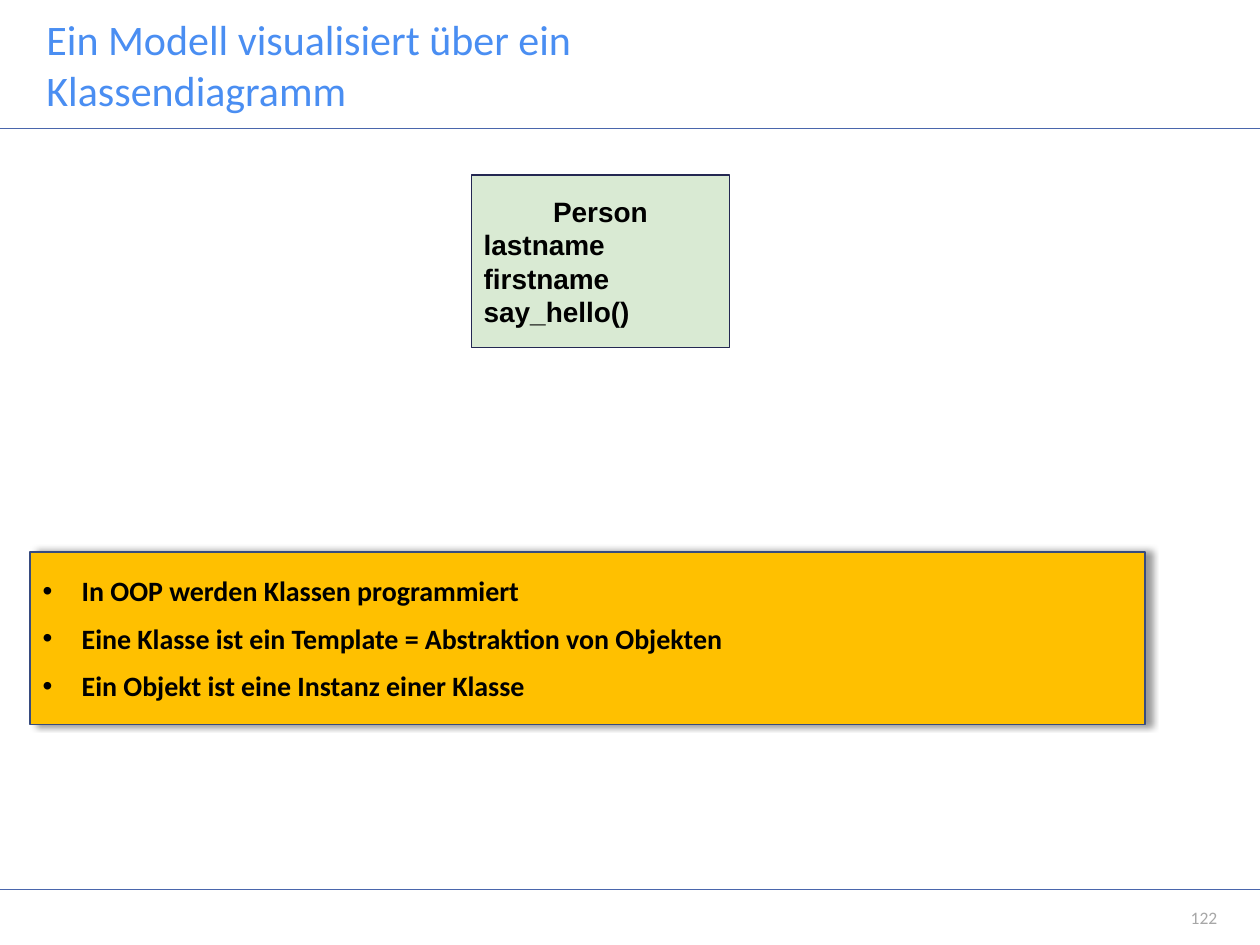
import pptx
import pptx.dml.color
import pptx.enum.shapes
import pptx.enum.text
import pptx.oxml
import pptx.oxml.ns
import pptx.util
from pptx.util import Inches

ALIGN = pptx.enum.text.PP_ALIGN
NS = pptx.oxml.ns.nsdecls("a")


def rgb(color):
    """Turn a hex string into a colour."""
    return pptx.dml.color.RGBColor.from_string(color)


def add_run(paragraph, text, size, font, color, bold=False):
    """Add one formatted run to a paragraph."""
    run = paragraph.add_run()
    run.text = text
    run.font.size = pptx.util.Pt(size)
    run.font.name = font
    run.font.bold = bold
    run.font.color.rgb = rgb(color)


def set_frame(frame, inset_x, inset_y):
    """Make a text frame wrap, centre vertically and use the given insets."""
    frame.word_wrap = True
    frame.vertical_anchor = pptx.enum.text.MSO_ANCHOR.MIDDLE
    frame.margin_left = frame.margin_right = Inches(inset_x)
    frame.margin_top = frame.margin_bottom = Inches(inset_y)


def add_label(slide, box, text, size, color, align, inset_x, inset_y):
    """Place a one-paragraph text box."""
    frame = slide.shapes.add_textbox(*map(Inches, box)).text_frame
    set_frame(frame, inset_x, inset_y)
    frame.paragraphs[0].alignment = align
    add_run(frame.paragraphs[0], text, size, "Calibri", color)


def add_rule(slide, left, top, width):
    """Draw a horizontal rule."""
    rule = slide.shapes.add_connector(
        pptx.enum.shapes.MSO_CONNECTOR.STRAIGHT,
        Inches(left), Inches(top), Inches(left + width), Inches(top))
    rule.line.color.rgb = rgb("4A66AC")
    rule.line.width = pptx.util.Pt(1)
    rule._element.spPr.append(pptx.oxml.parse_xml(f"<a:effectLst {NS}/>"))


def add_panel(slide, box, fill, line, line_width):
    """Draw a filled rectangle with an outline and no shadow."""
    panel = slide.shapes.add_shape(
        pptx.enum.shapes.MSO_SHAPE.RECTANGLE, *map(Inches, box))
    panel.fill.solid()
    panel.fill.fore_color.rgb = rgb(fill)
    panel.line.color.rgb = rgb(line)
    panel.line.width = pptx.util.Pt(line_width)
    panel.shadow.inherit = False
    return panel


def add_lines(frame, lines):
    """Yield a left-aligned paragraph with each line of text."""
    for index, text in enumerate(lines):
        paragraph = frame.add_paragraph() if index else frame.paragraphs[0]
        paragraph.alignment = ALIGN.LEFT
        yield index, paragraph, text


def add_class(slide, box, name, members):
    """Draw a class with a centred name above its members."""
    frame = add_panel(slide, box, "D9EAD3", "242852", 0.75).text_frame
    set_frame(frame, 0.1, 0.1)
    for index, paragraph, text in add_lines(frame, [name, *members]):
        if index == 0:
            paragraph.alignment = ALIGN.CENTER
        add_run(paragraph, text, 16, "Arial", "000000", True)


def add_summary(slide, box, points):
    """Draw a shadowed panel with bulleted points."""
    panel = add_panel(slide, box, "FFC000", "374B7F", 1)
    effects = panel._element.spPr.find(pptx.oxml.ns.qn("a:effectLst"))
    effects.append(pptx.oxml.parse_xml(
        f'<a:outerShdw {NS} blurRad="50800" dist="38100" dir="0" algn="l" rotWithShape="0">'
        '<a:srgbClr val="000000"><a:alpha val="40000"/></a:srgbClr></a:outerShdw>'))
    set_frame(panel.text_frame, 0.1, 0.05)
    for index, paragraph, text in add_lines(panel.text_frame, points):
        properties = paragraph._p.get_or_add_pPr()
        properties.set("marL", str(Inches(0.31)))
        properties.set("indent", str(Inches(-0.31)))
        properties.append(pptx.oxml.parse_xml(f'<a:buFont {NS} typeface="Arial"/>'))
        properties.append(pptx.oxml.parse_xml(f'<a:buChar {NS} char="•"/>'))
        if index:
            paragraph.space_before = pptx.util.Pt(8)
        add_run(paragraph, text, 16, "Calibri", "000000", True)


def main():
    """Build the slide and save it."""
    deck = pptx.Presentation()
    deck.slide_width, deck.slide_height = Inches(10), Inches(7.5)
    slide = deck.slides.add_slide(deck.slide_layouts[6])
    for top in (7.06, 1.02):
        add_rule(slide, 0, top, 10)
    add_label(slide, (0.27, 0, 6.22, 1.02),
              "Ein Modell visualisiert über ein Klassendiagramm",
              24, "4A8EF2", ALIGN.LEFT, 0.1, 0.05)
    add_label(slide, (8.75, 7.06, 0.91, 0.44), "122", 10, "A7A7A7", ALIGN.RIGHT, 0, 0)
    add_class(slide, (3.74, 1.39, 2.05, 1.37), "Person",
              ["lastname", "firstname", "say_hello()"])
    add_summary(slide, (0.24, 4.38, 8.85, 1.37), [
        "In OOP werden Klassen programmiert",
        "Eine Klasse ist ein Template = Abstraktion von Objekten",
        "Ein Objekt ist eine Instanz einer Klasse",
    ])
    deck.save("out.pptx")


if __name__ == "__main__":
    main()
